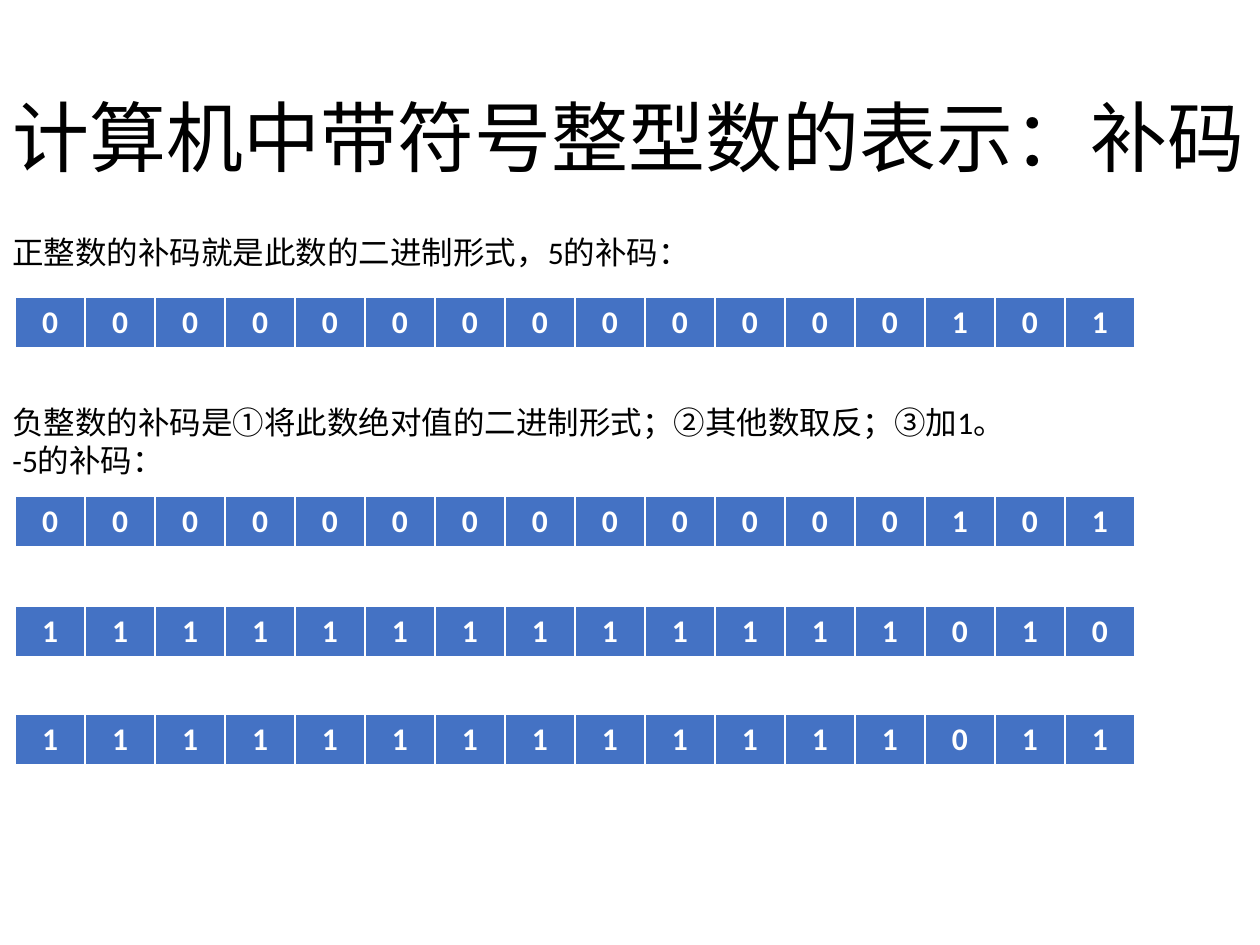
from lxml.etree import SubElement as Sub
from pptx import Presentation
from pptx.dml.color import RGBColor as RGB
from pptx.enum.text import MSO_ANCHOR as Anchor, MSO_AUTO_SIZE as Auto, PP_ALIGN as Align
from pptx.oxml.ns import qn
from pptx.util import Pt

# Content: texts as (lines, box, format), registers as (top, bits)
TEXTS = [
    (["计算机中带符号整型数的表示：补码"], (0, 50, 1260, 183),
     dict(size=44, space=0.9, anchor=Anchor.MIDDLE)),
    (["正整数的补码就是此数的二进制形式，5的补码："], (0, 227, 1187, 50),
     dict(fit=Auto.SHAPE_TO_FIT_TEXT)),
    (["负整数的补码是①将此数绝对值的二进制形式；②其他数取反；③加1。", "-5的补码："],
     (0, 397, 1155, 89), dict(fit=Auto.SHAPE_TO_FIT_TEXT)),
]
ROWS = [
    (297, "0000000000000101"),
    (496, "0000000000000101"),
    (606, "1111111111111010"),
    (714, "1111111111111011"),
]
LEFT, CELL, HIGH = 15, 70, 52
EDGES = {"L": 1, "R": 1, "T": 1, "B": 3}
BLUE, WHITE, BLACK = "4472C4", "FFFFFF", "000000"
SCALE = 914400 // 126


def px(*nums):
    return [n * SCALE for n in nums]


def tint(code):
    return RGB.from_string(code)


def write(frame, lines, size=18, color=BLACK, bold=False, align=Align.LEFT, space=None):
    for i, line in enumerate(lines):
        para = frame.add_paragraph() if i else frame.paragraphs[0]
        para.alignment, para.line_spacing = align, space
        run = para.add_run()
        run.text = line
        font = run.font
        font.name, font.size, font.bold = "Calibri", Pt(size), bold
        font.color.rgb = tint(color)


def add_text(slide, lines, box, anchor=Anchor.TOP, fit=Auto.NONE, **form):
    frame = slide.shapes.add_textbox(*px(*box)).text_frame
    frame.word_wrap, frame.auto_size, frame.vertical_anchor = True, fit, anchor
    write(frame, lines, **form)


def edge(cell):
    props = cell._tc.get_or_add_tcPr()
    for side, wide in EDGES.items():
        line = Sub(props, qn(f"a:ln{side}"), w=str(Pt(wide)))
        Sub(Sub(line, qn("a:solidFill")), qn("a:srgbClr"), val=WHITE)


def add_bits(slide, top, bits):
    count = len(bits)
    grid = slide.shapes.add_table(1, count, *px(LEFT, top, CELL * count, HIGH)).table
    for col, bit in enumerate(bits):
        grid.columns[col].width = CELL * SCALE
        cell = grid.cell(0, col)
        edge(cell)  # borders must precede the fill
        cell.fill.solid()
        cell.fill.fore_color.rgb = tint(BLUE)
        write(cell.text_frame, [bit], color=WHITE, bold=True, align=Align.CENTER)


def main():
    deck = Presentation()
    deck.slide_width, deck.slide_height = px(1260, 945)
    slide = deck.slides.add_slide(deck.slide_layouts[6])
    # Title and explanations
    for lines, box, form in TEXTS:
        add_text(slide, lines, box, **form)
    # 16-bit registers
    for top, bits in ROWS:
        add_bits(slide, top, bits)
    deck.save("out.pptx")


if __name__ == "__main__":
    main()
